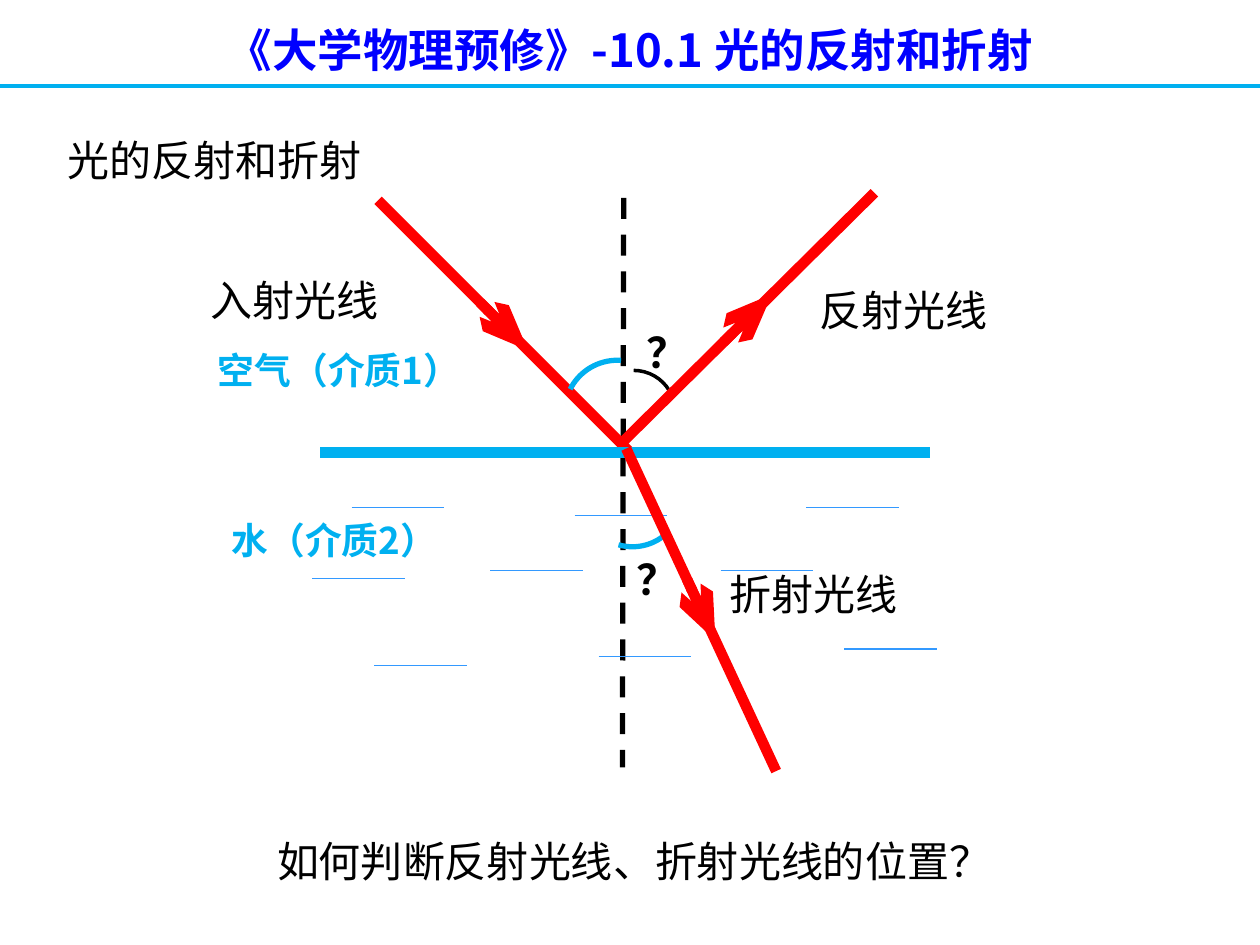
from dataclasses import dataclass

import pptx
import pptx.dml.color
import pptx.enum.dml
import pptx.enum.shapes
import pptx.enum.text
import pptx.oxml.xmlchemy
import pptx.util


@dataclass(frozen=True)
class Theme:
    font: str = "Noto Sans CJK SC"
    title: str = "0000FF"
    text: str = "000000"
    medium: str = "00B0F0"
    ripple: str = "3399FF"
    ray: str = "FF0000"
    title_size: int = 26
    text_size: int = 24
    medium_size: int = 21


@dataclass(frozen=True)
class Box:
    x: float
    y: float
    w: float
    h: float

    def point(self, col, row):
        return cells(self.x + col), cells(self.y + row)

    def inner(self, col, row, w, h):
        return Box(self.x + col, self.y + row, w, h)


T = Theme()
COLUMNS, ROWS = 100, 75
ARROW_SPAN = (0.405, 0.595)
RIPPLE_WIDTH = 7.35


def cells(n):
    return pptx.util.Inches(n / 10)


def rgb(color):
    return pptx.dml.color.RGBColor.from_string(color)


def assign(obj, values):
    for name, value in values.items():
        setattr(obj, name, value)


def add_xml(parent, tag, **attrs):
    el = pptx.oxml.xmlchemy.OxmlElement(tag)
    for name, value in attrs.items():
        el.set(name, value)
    parent.append(el)


def write(sp, text, size, color, bold=False, align=None):
    tf = sp.text_frame
    assign(tf, {"word_wrap": True, "auto_size": pptx.enum.text.MSO_AUTO_SIZE.NONE})
    p = tf.paragraphs[0]
    p.alignment = align
    r = p.add_run()
    r.text = text
    assign(r.font, {"name": T.font, "size": pptx.util.Pt(size), "bold": bold})
    r.font.color.rgb = rgb(color)
    add_xml(r.font._element, "a:ea", typeface=T.font)


def add_label(s, box, text, size=T.text_size, color=T.text, bold=False):
    sp = s.shapes.add_textbox(*box.point(0, 0), cells(box.w), cells(box.h))
    write(sp, text, size, color, bold)


def add_line(s, box, start, end, color, width, dash=None, arrow=False):
    sp = s.shapes.add_connector(
        pptx.enum.shapes.MSO_CONNECTOR.STRAIGHT, *box.point(*start), *box.point(*end))
    assign(sp.line, {"width": pptx.util.Pt(width), "dash_style": dash})
    sp.line.color.rgb = rgb(color)
    if arrow:
        add_xml(sp.line._get_or_add_ln(), "a:tailEnd", type="arrow", w="med", len="lg")
    add_xml(sp._element.spPr, "a:effectLst")


def add_ray(s, box, start, end):
    add_line(s, box, start, end, T.ray, 6)
    tail, head = (
        tuple(a + (b - a) * share for a, b in zip(start, end)) for share in ARROW_SPAN)
    add_line(s, box, tail, head, T.ray, 6, arrow=True)


def add_angle(s, box, center, radius, angles, color, width):
    col, row = center
    sp = s.shapes.add_shape(
        pptx.enum.shapes.MSO_SHAPE.ARC, *box.point(col - radius, row - radius),
        cells(2 * radius), cells(2 * radius))
    for i, degrees in enumerate(angles):
        sp.adjustments[i] = degrees * 0.6
    sp.shadow.inherit = False
    sp.fill.background()
    sp.line.color.rgb = rgb(color)
    sp.line.width = pptx.util.Pt(width)


def build_header(s, box):
    sp = s.shapes.title
    left, top = box.point(12.5, 1.2)
    assign(sp, {"left": left, "top": top, "width": cells(75), "height": cells(5.4)})
    write(sp, "《大学物理预修》-10.1 光的反射和折射", T.title_size, T.title, True,
          pptx.enum.text.PP_ALIGN.CENTER)
    add_line(s, box, (0, box.h), (box.w, box.h), T.medium, 2.25)


def build_diagram(s, box):
    add_line(s, box, (34.5, 5.7), (34.4, 50.9), T.text, 3,
             dash=pptx.enum.dml.MSO_LINE.DASH)
    add_ray(s, box, (15, 5.9), (35, 25.9))
    add_angle(s, box, (35.2, 29.4), 4, (44, 106), T.medium, 3)
    add_angle(s, box, (34, 22.8), 4.2, (207, 274), T.medium, 3)
    add_angle(s, box, (35.3, 22.7), 3.3, (270, 329), T.text, 2)
    add_line(s, box, (10.4, 25.9), (58.8, 25.9), T.medium, 6.5)
    for col, row in [(12.9, 30.3), (49, 30.3), (30.6, 30.9),
                     (9.8, 35.9), (23.9, 35.3), (42.2, 35.3),
                     (14.7, 42.8), (32.5, 42.1), (52, 41.5)]:
        add_line(s, box, (col, row), (col + RIPPLE_WIDTH, row), T.ripple, 0.75)
    add_ray(s, box, (34.3, 25.2), (54.4, 5.3))
    add_ray(s, box, (34.7, 25.6), (46.6, 51.2))
    for col, row, w, text in [(1.3, 17.1, 23.9, "空气（介质1）"),
                              (2.4, 30.6, 21.4, "水（介质2）")]:
        add_label(s, box.inner(col, row, w, 4.5), text, T.medium_size, T.medium, True)
    for col, row, text, bold in [(41.9, 34.6, "折射光线", False),
                                 (0.7, 11.3, "入射光线", False),
                                 (49.1, 12.1, "反射光线", False),
                                 (35.3, 15.4, "？", True),
                                 (34.5, 33.4, "？", True)]:
        add_label(s, box.inner(col, row, 16.4, 5), text, bold=bold)


def build_captions(s, box):
    add_label(s, box.inner(4.4, 0, 29.2, 5), "光的反射和折射")
    add_label(s, box.inner(21, box.h - 5, 60.2, 5), "如何判断反射光线、折射光线的位置？")


def main():
    prs = pptx.Presentation()
    assign(prs, {"slide_width": cells(COLUMNS), "slide_height": cells(ROWS)})
    s = prs.slides.add_slide(prs.slide_layouts[5])
    build_header(s, Box(0, 0, COLUMNS, 6.8))
    build_diagram(s, Box(15, 10, 70, 52))
    build_captions(s, Box(0, 10.2, COLUMNS, 60.6))
    prs.save("out.pptx")


main()
